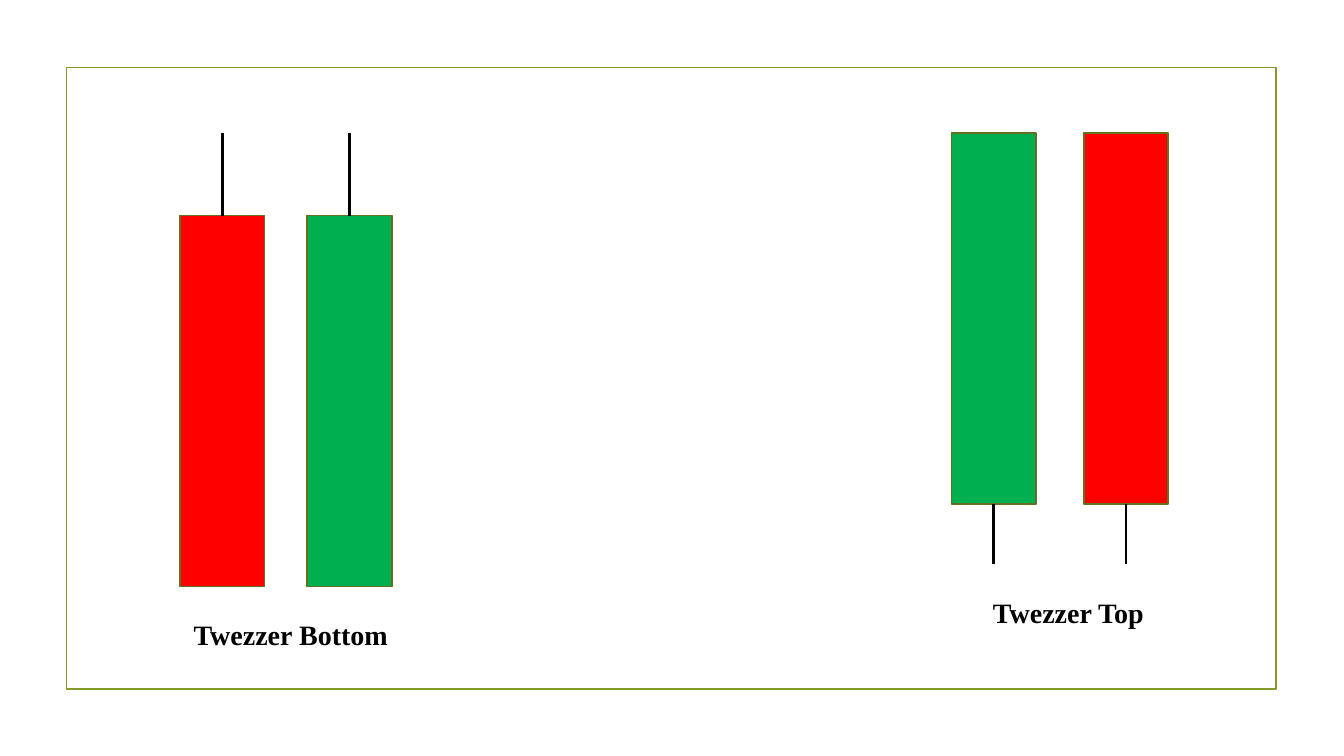
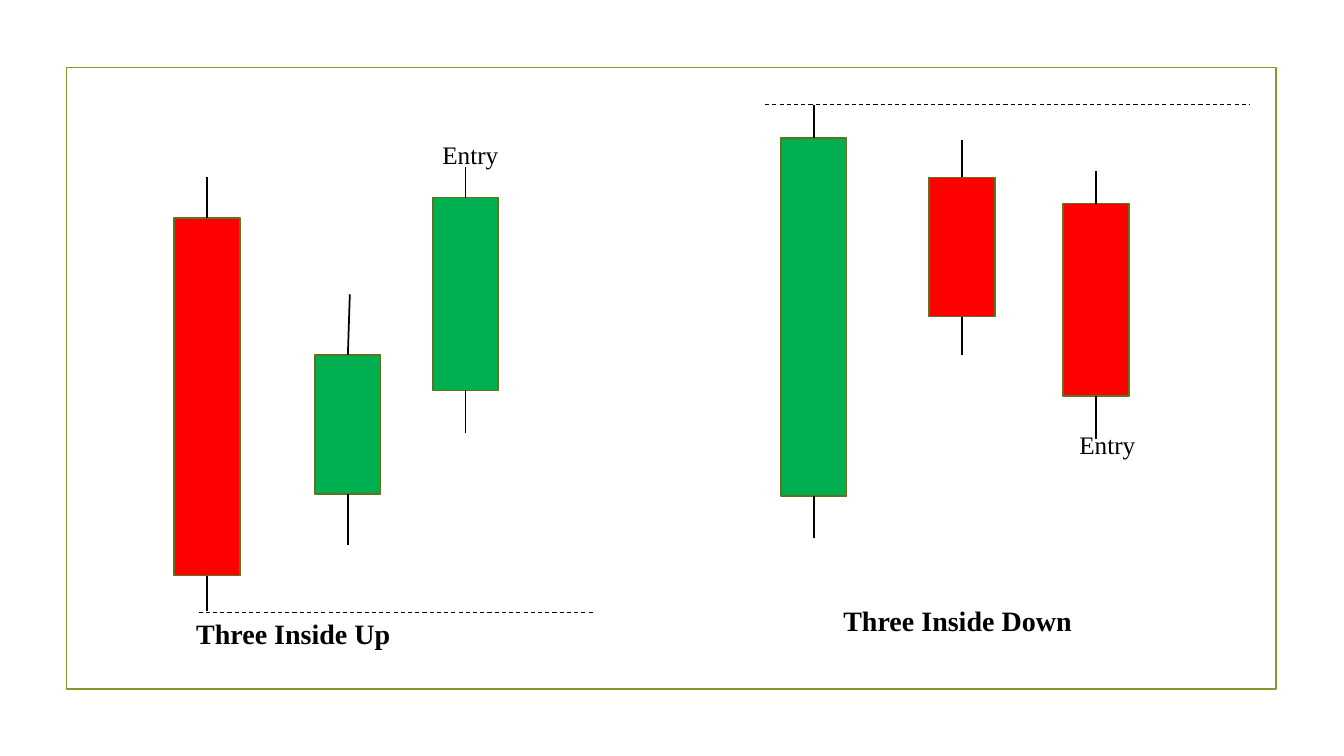
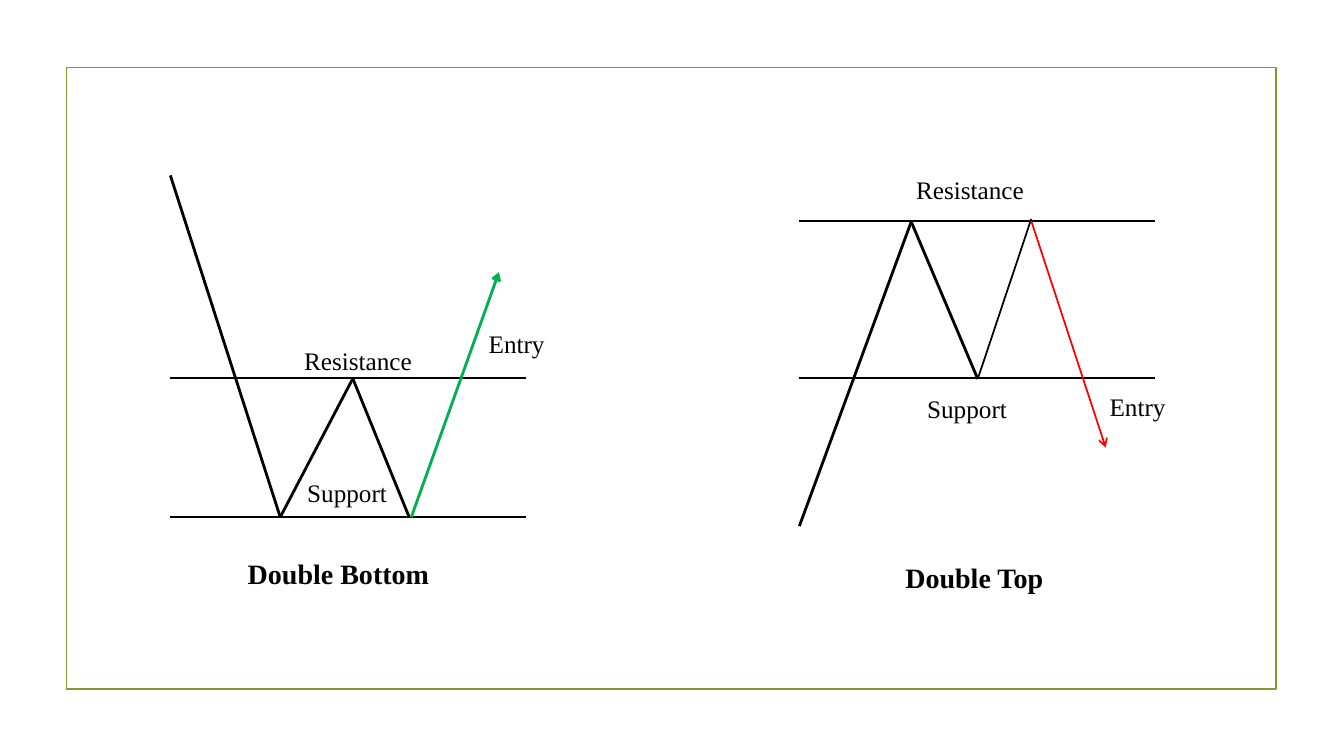
from itertools import pairwise

from lxml import etree
from pptx import Presentation
from pptx.dml.color import RGBColor
from pptx.enum.dml import MSO_LINE
from pptx.enum.shapes import MSO_CONNECTOR, MSO_SHAPE
from pptx.enum.text import MSO_ANCHOR, PP_ALIGN
from pptx.oxml.ns import qn
from pptx.util import Pt

RECT, STRAIGHT = MSO_SHAPE.RECTANGLE, MSO_CONNECTOR.STRAIGHT
DASH, MIDDLE, CENTER = MSO_LINE.DASH, MSO_ANCHOR.MIDDLE, PP_ALIGN.CENTER


class Theme:
    font = "Times New Roman"
    title, note = 20, 18
    bold, thin, fine = 2, 1.25, 0.75
    black, red, green = "000000", "FF0000", "00B050"
    frame, edge = "83992A", "61711F"


FRAME = (47.5, 48.2, 864, 444.2)
TITLE_W, TITLE_H = 244, 31.7
NOTE_W, NOTE_H = 144, 28.8
R, G, K = Theme.red, Theme.green, Theme.black

# Candles: centre, high, top, bottom, low, colour, lean of the upper wick
# Lines: points, width, colour, style
# Titles: text, centre, top; notes: text, left, top
SLIDES = [
    {
        "body": 60.5, "wick": Theme.bold,
        "candles": [
            (158.8, 95, 154, 419, 419, R, 0),
            (249.8, 95, 154, 419, 419, G, 0),
            (709.9, 95, 95, 360, 403.2, G, 0),
            (804.3, 95, 95, 360, 403.2, R, 0),
        ],
        "lines": [],
        "titles": [("Twezzer Bottom", 207.7, 437), ("Twezzer Top", 763.2, 421.2)],
        "notes": [],
    },
    {
        "body": 46.8, "wick": Theme.thin,
        "candles": [
            (147.8, 126.7, 155.5, 411.1, 436.3, R, 0),
            (248.5, 210.2, 253.4, 352.8, 389.5, G, 1.4),
            (332.5, 119.5, 141.1, 278.9, 309.6, G, 0),
            (581.2, 74.9, 98.6, 354.2, 384.5, G, 0),
            (687.1, 100.1, 126.7, 226.1, 253.4, R, 0),
            (782.8, 122.4, 145.4, 283, 313.9, R, 0),
        ],
        "lines": [
            ([(141.8, 437.8), (423.4, 437.8)], Theme.fine, K, "dash"),
            ([(546.5, 74.9), (892.8, 74.9)], Theme.fine, K, "dash"),
        ],
        "titles": [("Three Inside Up", 209.5, 436.3), ("Three Inside Down", 684, 427)],
        "notes": [("Entry", 308.9, 95.8), ("Entry", 763.9, 303.1)],
    },
    {
        "candles": [],
        "lines": [
            ([(121.7, 369.4), (375.8, 369.4)], Theme.thin, K, ""),
            ([(121.7, 270), (375.8, 270)], Theme.thin, K, ""),
            ([(121.7, 125.3), (200.2, 369.4), (252, 270.4), (292.3, 369.4)],
             Theme.bold, K, ""),
            ([(293.8, 369.4), (356.4, 194.4)], Theme.bold, G, "arrow"),
            ([(571, 157.7), (825.1, 157.7)], Theme.thin, K, ""),
            ([(571, 270), (825.1, 270)], Theme.thin, K, ""),
            ([(571, 375.8), (650.9, 158.4), (698.4, 270.7)], Theme.bold, K, ""),
            ([(698.4, 270.7), (736.6, 156.5)], Theme.thin, K, ""),
            ([(736.6, 157.7), (789.8, 319.7)], Theme.thin, R, "arrow"),
        ],
        "titles": [("Double Bottom", 241.8, 393.8), ("Double Top", 696, 396.7)],
        "notes": [
            ("Entry", 342, 231.1), ("Entry", 785.5, 275.8),
            ("Resistance", 210.2, 243.4), ("Resistance", 647.3, 121),
            ("Support", 212.4, 337.7), ("Support", 655.2, 277.2),
        ],
    },
]


def color(hexa):
    return RGBColor.from_string(hexa)


def add_box(slide, box, edge, fill=None):
    shape = slide.shapes.add_shape(RECT, *map(Pt, box))
    shape.shadow.inherit = False
    if fill:
        shape.fill.solid()
        shape.fill.fore_color.rgb = color(fill)
    else:
        shape.fill.background()
    shape.line.color.rgb = color(edge)
    shape.line.width = Pt(Theme.thin)


def add_line(slide, start, end, width, hue=Theme.black, style=""):
    link = slide.shapes.add_connector(STRAIGHT, *map(Pt, (*start, *end)))
    link.line.color.rgb = color(hue)
    link.line.width = Pt(width)
    if style == "dash":
        link.line.dash_style = DASH
    elif style == "arrow":
        etree.SubElement(link.line._get_or_add_ln(), qn("a:tailEnd"), type="arrow")
    etree.SubElement(link._element.spPr, qn("a:effectLst"))


def add_text(slide, text, box, size):
    frame = slide.shapes.add_textbox(*map(Pt, box)).text_frame
    frame.word_wrap = True
    para = frame.paragraphs[0]
    para.text = text
    para.font.name = Theme.font
    para.font.size = Pt(size)
    para.font.color.rgb = color(Theme.black)
    return frame, para


def add_title(slide, text, mid, top):
    box = (mid - TITLE_W / 2, top, TITLE_W, TITLE_H)
    frame, para = add_text(slide, text, box, Theme.title)
    frame.vertical_anchor = MIDDLE
    para.alignment = CENTER
    para.font.bold = True


def add_candle(slide, body, wick, candle):
    mid, high, top, base, low, fill, lean = candle
    add_box(slide, (mid - body / 2, top, body, base - top), Theme.edge, fill)
    if high < top:
        add_line(slide, (mid, top), (mid + lean, high), wick)
    if low > base:
        add_line(slide, (mid, base), (mid, low), wick)


def main():
    deck = Presentation()
    deck.slide_width, deck.slide_height = Pt(960), Pt(540)
    for data in SLIDES:
        slide = deck.slides.add_slide(deck.slide_layouts[6])
        add_box(slide, FRAME, Theme.frame)
        for candle in data["candles"]:
            add_candle(slide, data["body"], data["wick"], candle)
        for points, width, hue, style in data["lines"]:
            for start, end in pairwise(points):
                add_line(slide, start, end, width, hue, style)
        for title in data["titles"]:
            add_title(slide, *title)
        for text, left, top in data["notes"]:
            add_text(slide, text, (left, top, NOTE_W, NOTE_H), Theme.note)
    deck.save("out.pptx")


if __name__ == "__main__":
    main()
